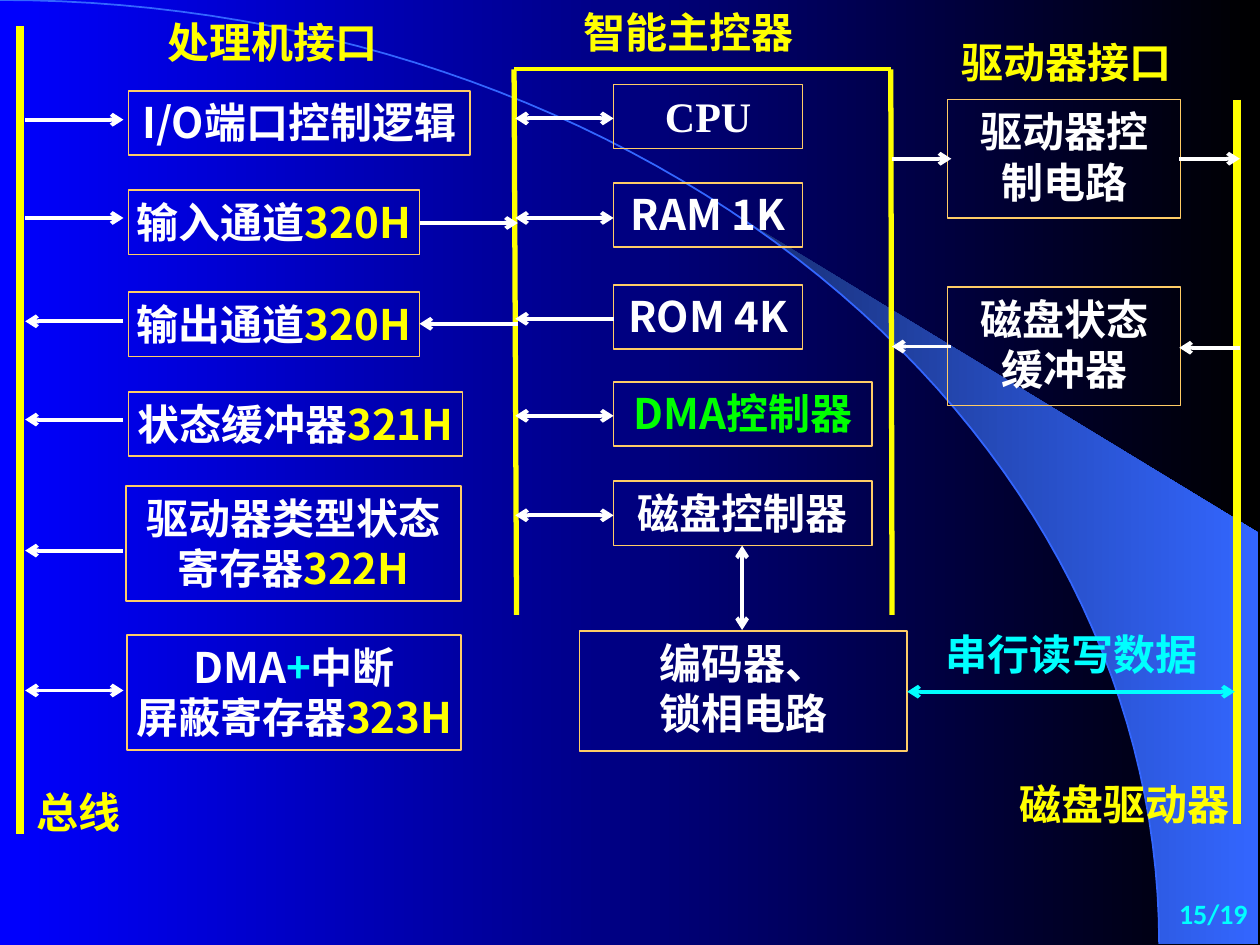
"""Build the disk adapter block diagram slide."""
import math
from lxml import etree
from pptx import Presentation, util as u
from pptx.dml import color
from pptx.enum import shapes, text
from pptx.oxml import ns

COLOURS = {"white": "FFFFFF", "yellow": "FFFF00", "cyan": "00FFFF", "green": "00FF00",
           "frame": "FFCC66", "blue": "0000FF", "black": "000000", "arc": "3366FF", "wedge": "182F76"}
RGB = {name: color.RGBColor.from_string(value) for name, value in COLOURS.items()}
NOTO, TIMES = "Noto Sans CJK SC", "Times New Roman"
ENDS = {"": (), "<": ("headEnd",), ">": ("tailEnd",), "<>": ("headEnd", "tailEnd")}


def write(shape, lines, face, wrap=False, align="CENTER", size=24):
    frame = shape.text_frame
    frame.word_wrap = wrap
    frame.vertical_anchor = text.MSO_ANCHOR.TOP
    for index, line in enumerate(lines):
        para = frame.paragraphs[0] if index == 0 else frame.add_paragraph()
        para.alignment = text.PP_ALIGN[align]
        for words, colour in line:
            span = para.add_run()
            span.text = words
            for key, value in {"size": u.Pt(size), "bold": True, "name": face}.items():
                setattr(span.font, key, value)
            span.font.color.rgb = RGB[colour]
            east = etree.SubElement(span.font._element, ns.qn("a:ea"))
            east.set("typeface", NOTO)


def draw_line(x1, y1, x2, y2, arrows="", colour="white", width=2.25):
    line = slide.shapes.add_connector(shapes.MSO_CONNECTOR.STRAIGHT, *map(u.Inches, (x1, y1, x2, y2)))
    line.line.color.rgb = RGB[colour]
    line.line.width = u.Pt(width)
    properties = line.element.spPr
    outline = properties.find(ns.qn("a:ln"))
    for end in ENDS[arrows]:
        etree.SubElement(outline, ns.qn(f"a:{end}")).set("type", "arrow")
    etree.SubElement(properties, ns.qn("a:effectLst"))


deck = Presentation()
deck.slide_width, deck.slide_height = u.Inches(10), u.Inches(7.5)
slide = deck.slides.add_slide(deck.slide_layouts[6])

ARC_WIDTH, ARC_HEIGHT, STEPS = 9.2, 7.49, 60
WEDGE_START = math.asin(5.89 / ARC_WIDTH)
curves = []
for start in (0, WEDGE_START):
    angles = [start + (math.pi / 2 - start) * step / STEPS for step in range(STEPS + 1)]
    curves.append([(ARC_WIDTH * math.sin(a), ARC_HEIGHT * (1 - math.cos(a))) for a in angles])
arc_points, wedge_points = curves
wedge_points += [(9.99, 7.49), (9.99, 4.23)]

outlines = []
for points, closed in ((wedge_points, True), (arc_points, False)):
    points = [(u.Inches(x), u.Inches(y)) for x, y in points]
    builder = slide.shapes.build_freeform(*points[0])
    builder.add_line_segments(points[1:], close=closed)
    outline = builder.convert_to_shape()
    outline.shadow.inherit = False
    outlines.append(outline)
wedge, arc = outlines
wedge.line.fill.background()
arc.fill.background()
arc.line.color.rgb = RGB["arc"]
arc.line.width = u.Pt(1)

for fill, ends in ((slide.background.fill, ("blue", "black")), (wedge.fill, ("wedge", "arc"))):
    fill.gradient()
    fill.gradient_angle = 0
    for stop, name in zip(fill.gradient_stops, ends):
        stop.color.rgb = RGB[name]

boxes = [
    (1.02, 0.72, 2.71, 0.51, [[("I/O端口控制逻辑", "white")]], NOTO, False),
    (1.02, 1.51, 2.31, 0.51, [[("输入通道", "white"), ("320H", "yellow")]], NOTO, False),
    (1.02, 2.32, 2.31, 0.51, [[("输出通道", "white"), ("320H", "yellow")]], NOTO, False),
    (1.02, 3.11, 2.65, 0.51, [[("状态缓冲器", "white"), ("321H", "yellow")]], NOTO, False),
    (1, 3.86, 2.66, 0.91, [[("驱动器类型状态", "white")],
                           [("寄存器", "white"), ("322H", "yellow")]], NOTO, False),
    (1.01, 5.04, 2.65, 0.91, [[("DMA", "white"), ("+", "cyan"), ("中断", "white")],
                              [("屏蔽寄存器", "white"), ("323H", "yellow")]], NOTO, False),
    (4.87, 0.67, 1.5, 0.51, [[("CPU", "white")]], TIMES, False),
    (4.87, 1.45, 1.5, 0.51, [[("RAM 1K", "white")]], NOTO, False),
    (4.87, 2.26, 1.5, 0.51, [[("ROM 4K", "white")]], NOTO, False),
    (4.87, 3.03, 2.05, 0.51, [[("DMA控制器", "green")]], NOTO, False),
    (4.87, 3.82, 2.05, 0.51, [[("磁盘控制器", "white")]], NOTO, False),
    (4.6, 5.01, 2.6, 0.95, [[("编码器、", "white")], [("锁相电路", "white")]], NOTO, False),
    (7.52, 0.79, 1.85, 0.94, [[("驱动器控制电路", "white")]], TIMES, True),
    (7.52, 2.28, 1.85, 0.94, [[("磁盘状态缓冲器", "white")]], TIMES, True),
]
for *place, lines, face, wrap in boxes:
    box = slide.shapes.add_shape(shapes.MSO_SHAPE.RECTANGLE, *map(u.Inches, place))
    box.shadow.inherit = False
    box.fill.background()
    box.line.color.rgb = RGB["frame"]
    box.line.width = u.Pt(1)
    write(box, lines, face, wrap)

for x1, y1, x2, y2, width in ((4.08, 0.55, 4.1, 4.88, 3), (4.08, 0.55, 7.07, 0.55, 2.25),
                              (7.07, 0.55, 7.08, 4.88, 3), (0.16, 0.21, 0.16, 6.62, 4.5),
                              (9.82, 0.79, 9.82, 6.54, 4.5)):
    draw_line(x1, y1, x2, y2, colour="yellow", width=width)

arrow_columns = [
    (0.2, 0.98, [(0.95, ">"), (1.73, ">"), (2.55, "<"), (3.33, "<"), (4.37, "<"), (5.48, "<>")]),
    (3.33, 4.11, [(1.77, ">"), (2.57, "<")]),
    (4.09, 4.87, [(0.94, "<>"), (1.73, "<>"), (2.53, "<"), (3.3, "<>"), (4.09, "<>")]),
    (7.08, 7.55, [(1.26, ">"), (2.75, "<")]),
    (9.36, 9.84, [(1.26, ">"), (2.76, "<")]),
]
for left, right, rows in arrow_columns:
    for y, arrows in rows:
        draw_line(left, y, right, y, arrows)
draw_line(5.89, 4.33, 5.89, 5, "<>")
draw_line(7.2, 5.49, 9.8, 5.49, "<>", "cyan")

labels = [
    (7.41, 4.94, 2.24, "串行读写数据", "cyan", "LEFT"),
    (1.23, 0.08, 1.9, "处理机接口", "yellow", "LEFT"),
    (4.53, 0, 1.9, "智能主控器", "yellow", "LEFT"),
    (7.53, 0.24, 1.9, "驱动器接口", "yellow", "LEFT"),
    (0.17, 6.19, 0.9, "总线", "yellow", "CENTER"),
    (7.99, 6.13, 1.9, "磁盘驱动器", "yellow", "LEFT"),
]
for left, top, width, words, colour, align in labels:
    label = slide.shapes.add_textbox(*map(u.Inches, (left, top, width, 0.5)))
    write(label, [[(words, colour)]], TIMES, align=align)
    label.text_frame.auto_size = text.MSO_AUTO_SIZE.SHAPE_TO_FIT_TEXT

number = slide.shapes.add_textbox(*map(u.Inches, (7.92, 7, 2.08, 0.5)))
write(number, [[("15/19", "cyan")]], "Calibri", True, "RIGHT", 16)
number.text_frame.vertical_anchor = text.MSO_ANCHOR.MIDDLE

deck.save("out.pptx")
